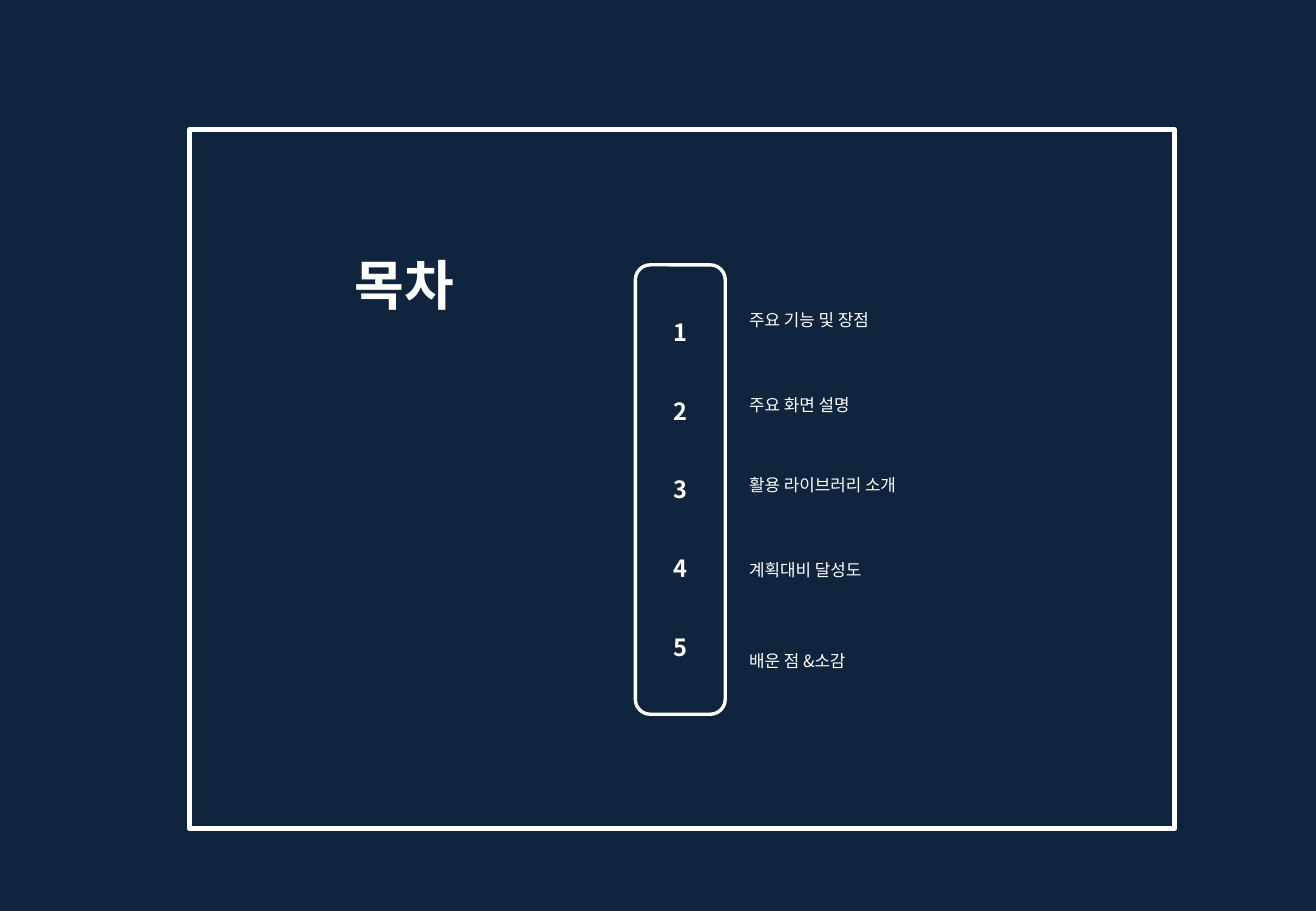
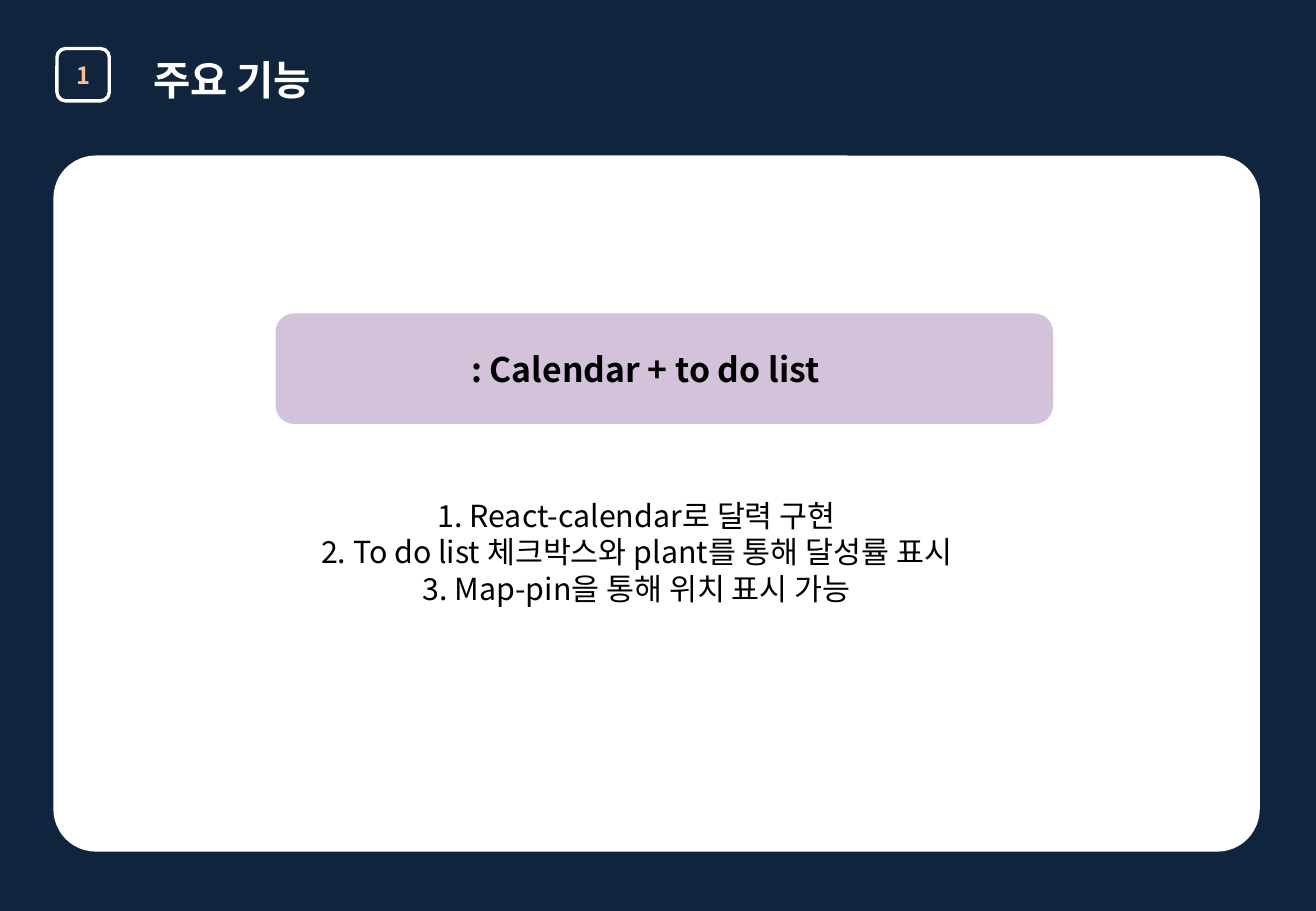
from lxml import etree
from pptx import Presentation
from pptx.dml.color import RGBColor
from pptx.enum import shapes, text
from pptx.oxml import ns
from pptx.util import Pt

FONT = "Noto Sans CJK KR"
HUES = {
    "navy": "10243E",
    "white": "FFFFFF",
    "black": "000000",
    "peach": "FAC090",
    "lilac": "D3C2DA",
}
LEFT, MID = text.PP_ALIGN.LEFT, text.PP_ALIGN.CENTER
RECT = shapes.MSO_SHAPE.RECTANGLE
ROUND = shapes.MSO_SHAPE.ROUNDED_RECTANGLE

# Each agenda entry with the top of its label.
ITEMS = [
    ("주요 기능 및 장점", 180),
    ("주요 화면 설명", 230.4),
    ("활용 라이브러리 소개", 278),
    ("계획대비 달성도", 328.3),
    ("배운 점 &소감", 382.3),
]
POINTS = [
    "1. React-calendar로 달력 구현",
    "2. To do list 체크박스와 plant를 통해 달성률 표시",
    "3. Map-pin을 통해 위치 표시 가능",
]


def hue(name):
    return RGBColor.from_string(HUES[name])


def write(shape, lines, size, color, bold=False, align=LEFT,
          anchor=text.MSO_ANCHOR.TOP, gap=0):
    """Fill a shape with one paragraph per line, gap points apart."""
    frame = shape.text_frame
    frame.word_wrap = True
    frame.auto_size = text.MSO_AUTO_SIZE.NONE
    frame.vertical_anchor = anchor
    for i, line in enumerate(lines):
        para = frame.add_paragraph() if i else frame.paragraphs[0]
        para.alignment = align
        para.space_after = Pt(gap if i < len(lines) - 1 else 0)
        run = para.add_run()
        run.text = line
        font = run.font
        font.name, font.size, font.bold = FONT, Pt(size), bold
        font.color.rgb = hue(color)
        # Hangul takes its typeface from the East Asian slot.
        asian = etree.SubElement(font._element, ns.qn("a:ea"))
        asian.set("typeface", FONT)


def label(slide, box, lines, size, color, **style):
    shape = slide.shapes.add_textbox(*map(Pt, box))
    write(shape, lines, size, color, **style)


def title(slide, box, words, size):
    shape = slide.shapes.title
    shape.left, shape.top, shape.width, shape.height = map(Pt, box)
    write(shape, [words], size, "white", bold=True)


def panel(slide, kind, box, fill=None, line=0, curve=None):
    """Draw a filled panel, or a white outline when line is a width."""
    shape = slide.shapes.add_shape(kind, *map(Pt, box))
    shape.shadow.inherit = False
    if curve is not None:
        shape.adjustments[0] = curve
    if fill:
        shape.fill.solid()
        shape.fill.fore_color.rgb = hue(fill)
    else:
        shape.fill.background()
    if line:
        shape.line.width = Pt(line)
        shape.line.color.rgb = hue("white")
    else:
        shape.line.fill.background()
    return shape


def badge(slide, box, marks, color, gap=0):
    """Draw a rounded outline that holds centred numbers."""
    shape = panel(slide, ROUND, box, line=2, curve=0.167)
    write(shape, marks, 14, color, bold=True, align=MID,
          anchor=text.MSO_ANCHOR.MIDDLE, gap=gap)


def agenda(slide):
    title(slide, (203, 145.4, 88.6, 45.4), "목차", 32)
    panel(slide, RECT, (112.3, 77, 584, 414), line=3)
    marks = [str(i + 1) for i in range(len(ITEMS))]
    badge(slide, (376.6, 157, 53.3, 266.4), marks, "white", gap=30)
    for words, top in ITEMS:
        label(slide, (437, top, 127, 19.4), [words], 10, "white")


def feature(slide):
    title(slide, (83.5, 28.8, 118.8, 36), "주요 기능", 24)
    panel(slide, ROUND, (31.7, 92.2, 715, 412.6), "white", curve=0.061)
    badge(slide, (33.8, 28.8, 31, 31), ["1"], "peach")
    label(slide, (68.4, 291, 617.8, 72), POINTS, 18, "black", align=MID)
    panel(slide, ROUND, (163.4, 185.8, 460.8, 65.5), "lilac", curve=0.167)
    label(slide, (272.2, 203, 235.4, 54.7), [": Calendar + to do list"],
          20, "black", bold=True)


def main():
    deck = Presentation()
    deck.slide_width, deck.slide_height = Pt(780), Pt(540)
    back = deck.slide_master.background.fill
    back.solid()
    back.fore_color.rgb = hue("navy")
    layout = deck.slide_layouts.get_by_name("Title Only")
    for build in (agenda, feature):
        build(deck.slides.add_slide(layout))
    deck.save("out.pptx")


if __name__ == "__main__":
    main()
